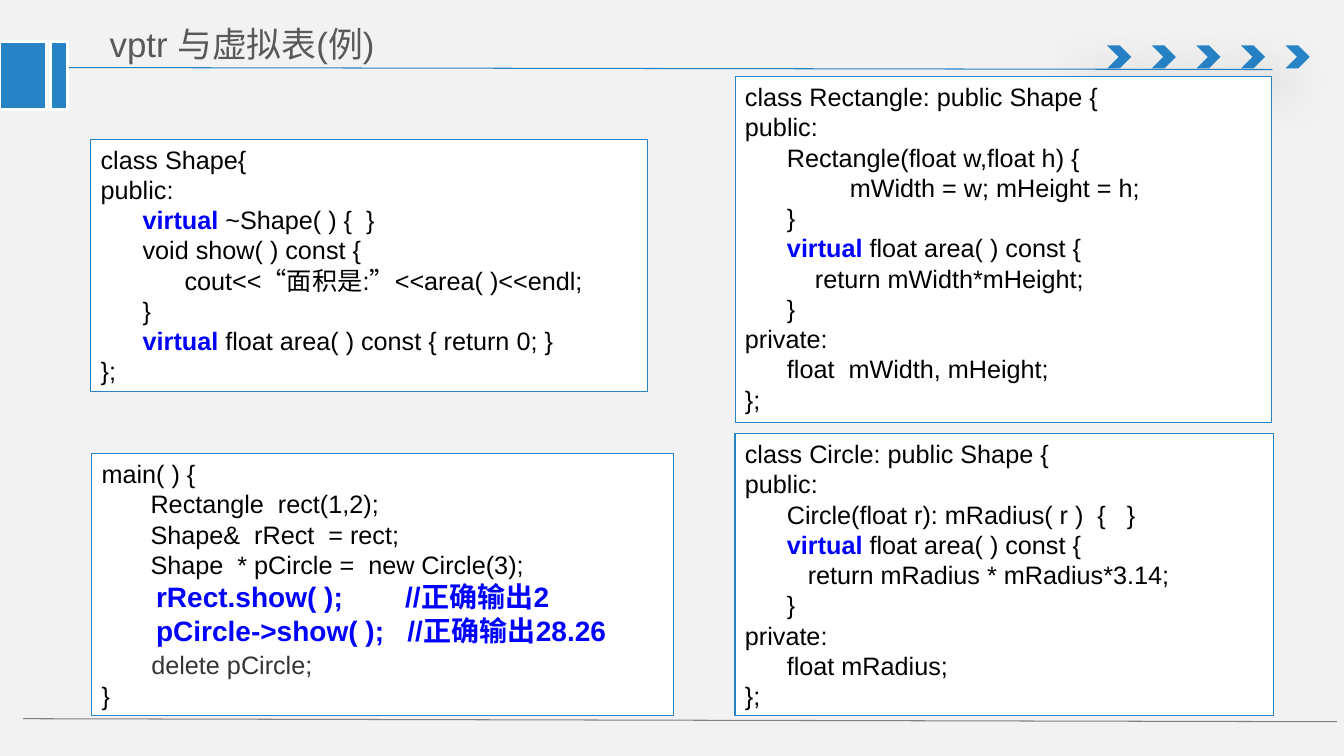
from dataclasses import dataclass

from lxml import etree
from pptx import Presentation
from pptx.dml.color import RGBColor
from pptx.enum.shapes import MSO_CONNECTOR, MSO_SHAPE
from pptx.enum.text import MSO_ANCHOR, PP_ALIGN
from pptx.oxml import parse_xml
from pptx.oxml.ns import nsdecls, qn
from pptx.util import Inches, Pt


@dataclass(frozen=True)
class Theme:
    background: str = "F2F2F2"
    accent: str = "2683C6"
    white: str = "FFFFFF"
    rule: str = "808080"
    title: str = "595959"
    code: str = "000000"
    keyword: str = "0000FF"
    muted: str = "343537"
    font: str = "Arial"
    title_size: float = 24.9
    code_size: float = 18
    call_size: float = 20


THEME = Theme()
KEYWORD = "virtual "

SHAPE_CODE = """class Shape{
public:
      virtual ~Shape( ) {  }
      void show( ) const {
            cout<<“面积是:”<<area( )<<endl;
      }
      virtual float area( ) const { return 0; }
};"""

CIRCLE_CODE = """class Circle: public Shape {
public:
      Circle(float r): mRadius( r )  {   }
      virtual float area( ) const {
         return mRadius * mRadius*3.14;
      }
private:
      float mRadius;
};"""

RECTANGLE_CODE = """class Rectangle: public Shape {
public:
      Rectangle(float w,float h) {
               mWidth = w; mHeight = h;
      }
      virtual float area( ) const {
          return mWidth*mHeight;
      }
private:
      float  mWidth, mHeight;
};"""

MAIN_CODE = """main( ) {
       Rectangle  rect(1,2);
       Shape&  rRect  = rect;
       Shape  * pCircle =  new Circle(3);
       rRect.show( );        //正确输出2
       pCircle->show( );   //正确输出28.26
       delete pCircle;
}"""


def color(value):
    return RGBColor.from_string(value)


def add_run(paragraph, text, size, tint, bold=False):
    run = paragraph.add_run()
    run.text = text
    run.font.name = THEME.font
    run.font.size = Pt(size)
    run.font.bold = bold
    run.font.color.rgb = color(tint)


def add_block(slide, kind, box, fill, line=None, width=0.75):
    shape = slide.shapes.add_shape(kind, *map(Inches, box))
    shape.shadow.inherit = False
    shape.fill.solid()
    shape.fill.fore_color.rgb = color(fill)
    if line:
        shape.line.color.rgb = color(line)
        shape.line.width = Pt(width)
    else:
        shape.line.fill.background()
    return shape


def add_rule(slide, start, end, tint):
    points = map(Inches, (*start, *end))
    rule = slide.shapes.add_connector(MSO_CONNECTOR.STRAIGHT, *points)
    rule.line.color.rgb = color(tint)
    rule.line.width = Pt(0.75)
    etree.SubElement(rule._element.spPr, qn("a:effectLst"))


def add_soft_shadow(shape):
    effects = shape._element.spPr.find(qn("a:effectLst"))
    effects.append(parse_xml(
        f'<a:outerShdw {nsdecls("a")} blurRad="{Pt(36)}" dist="{Pt(24)}" '
        f'dir="{130 * 60000}" algn="ctr" rotWithShape="0">'
        '<a:srgbClr val="000000"><a:alpha val="38000"/></a:srgbClr>'
        '</a:outerShdw>'))


def add_chevrons(slide, box, size, count=5):
    """Spread chevrons of the given width evenly from the box's left to its right edge."""
    left, top, width, height = box
    step = (width - size) / (count - 1)
    for index in range(count):
        chevron = add_block(slide, MSO_SHAPE.CHEVRON,
                            (left + index * step, top, size, height), THEME.accent)
        add_soft_shadow(chevron)


def add_header(slide, box):
    left, top, width, height = box
    add_rule(slide, (left + 0.53, top + 0.67), (left + 12.62, top + 0.69), THEME.accent)
    add_chevrons(slide, (left + 10.98, top + 0.45, 2.01, 0.23), 0.24)
    for offset, bar_width in ((0, 0.46), (0.5, 0.17)):
        add_block(slide, MSO_SHAPE.RECTANGLE,
                  (left + offset, top + 0.41, bar_width, height - 0.41),
                  THEME.accent, THEME.white, 2)
    title_box = (left + 0.99, top + 0.14, 4.63, 0.55)
    frame = slide.shapes.add_textbox(*map(Inches, title_box)).text_frame
    frame.word_wrap = True
    frame.vertical_anchor = MSO_ANCHOR.BOTTOM
    add_run(frame.paragraphs[0], "vptr 与虚拟表(例)", THEME.title_size, THEME.title)


def add_code_line(paragraph, line):
    if "//" in line:
        add_run(paragraph, line, THEME.call_size, THEME.keyword, True)
    elif "delete" in line:
        add_run(paragraph, line[:1], THEME.call_size, THEME.keyword, True)
        add_run(paragraph, line[1:], THEME.code_size, THEME.muted)
    else:
        before, keyword, after = line.partition(KEYWORD)
        add_run(paragraph, before, THEME.code_size, THEME.code)
        if keyword:
            add_run(paragraph, keyword, THEME.code_size, THEME.keyword, True)
            add_run(paragraph, after, THEME.code_size, THEME.code)


def add_code_panel(slide, box, code):
    panel = add_block(slide, MSO_SHAPE.RECTANGLE, box, THEME.white, THEME.accent)
    frame = panel.text_frame
    frame.word_wrap = True
    frame.vertical_anchor = MSO_ANCHOR.TOP
    for index, line in enumerate(code.split("\n")):
        paragraph = frame.add_paragraph() if index else frame.paragraphs[0]
        paragraph.alignment = PP_ALIGN.LEFT
        paragraph.line_spacing = 1.0
        add_code_line(paragraph, line)


def main():
    presentation = Presentation()
    presentation.slide_width = Inches(13.33)
    presentation.slide_height = Inches(7.5)
    slide = presentation.slides.add_slide(presentation.slide_layouts[6])
    slide.background.fill.solid()
    slide.background.fill.fore_color.rgb = color(THEME.background)

    add_header(slide, (0, 0, 13.33, 1.09))
    add_rule(slide, (0.23, 7.13), (13.26, 7.16), THEME.rule)
    add_code_panel(slide, (0.9, 1.38, 5.52, 2.5), SHAPE_CODE)
    add_code_panel(slide, (7.29, 4.3, 5.34, 2.8), CIRCLE_CODE)
    add_code_panel(slide, (0.91, 4.5, 5.77, 2.6), MAIN_CODE)
    add_code_panel(slide, (7.29, 0.76, 5.32, 3.43), RECTANGLE_CODE)
    presentation.save("out.pptx")


if __name__ == "__main__":
    main()
